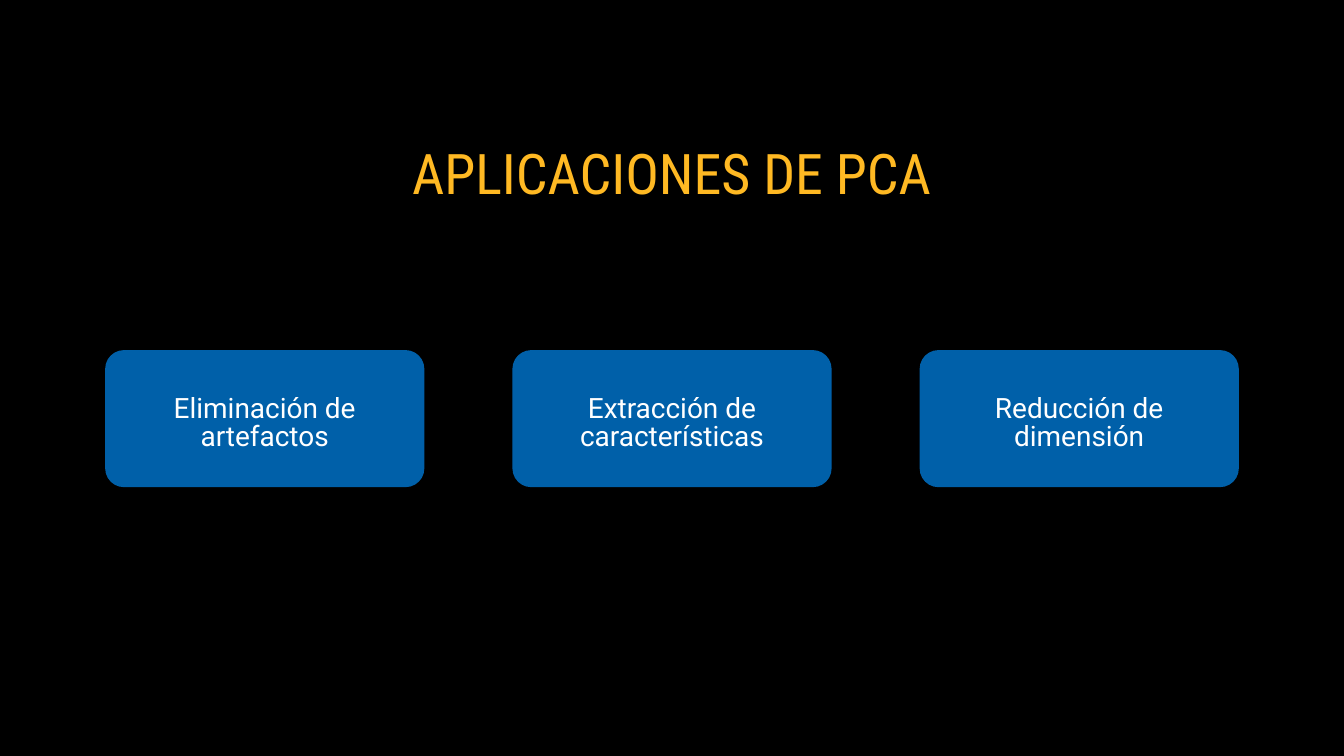
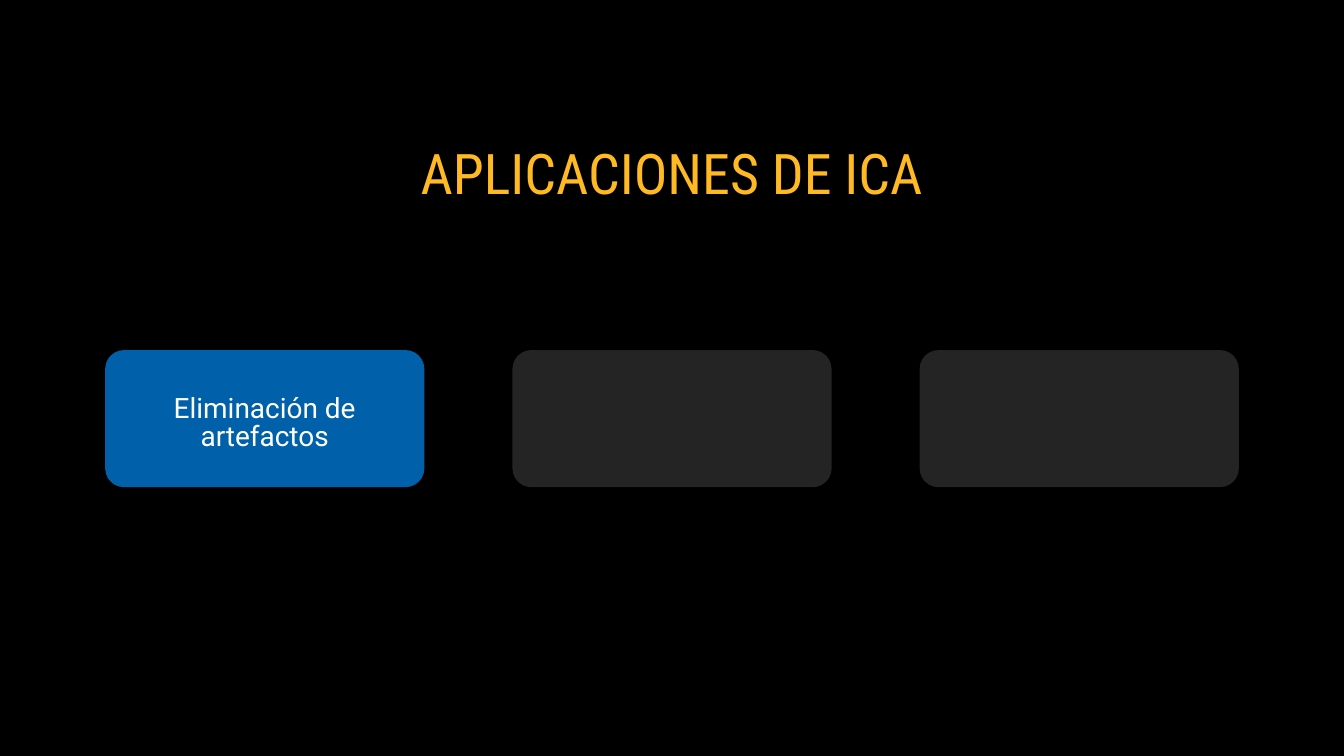
from dataclasses import dataclass

from pptx import Presentation
from pptx.dml.color import RGBColor
from pptx.enum.shapes import MSO_SHAPE as Preset
from pptx.enum.text import MSO_ANCHOR as Anchor, MSO_AUTO_SIZE as AutoSize, PP_ALIGN as Align
from pptx.util import Inches, Pt

WIDTH, HEIGHT = Inches(20), Inches(11.25)
COLUMN, ROW = WIDTH / 20, HEIGHT / 11.25
TITLE_ONLY = 5

BLACK, GOLD, WHITE = "000000", "FFB923", "FFFFFF"
BLUE, GRAY = "0060A9", "242424"

CARD_WIDTH, CARD_HEIGHT, CARD_TOP = 4.75, 2.04, 5.21
CARD_PITCH = 6.06
CORNER = 0.28


@dataclass(frozen=True)
class TextStyle:
    font: str
    size: float
    spacing: float
    color: str
    anchor: Anchor
    top_inset: float = 0


@dataclass(frozen=True)
class Card:
    lines: tuple[str, ...] = ()
    color: str = BLUE


@dataclass(frozen=True)
class Topic:
    title: str
    cards: tuple[Card, ...]


HEADING = TextStyle("Roboto Condensed", 60, 84, GOLD, Anchor.TOP)
LABEL = TextStyle("Roboto", 30, 30, WHITE, Anchor.MIDDLE, 0.17)

ARTIFACTS = Card(("Eliminación de", "artefactos"))
DIMMED = Card(color=GRAY)
TOPICS = (
    Topic("APLICACIONES DE PCA", (
        ARTIFACTS,
        Card(("Extracción de características",)),
        Card(("Reducción de", "dimensión")),
    )),
    Topic("APLICACIONES DE ICA", (ARTIFACTS, DIMMED, DIMMED)),
)


def paint(fill, color: str) -> None:
    fill.solid()
    fill.fore_color.rgb = RGBColor.from_string(color)


def apply(target, values: dict) -> None:
    for name, value in values.items():
        setattr(target, name, value)


def place(columns: float, rows: float, width: float, height: float) -> dict:
    return {
        "left": round(columns * COLUMN),
        "top": round(rows * ROW),
        "width": round(width * COLUMN),
        "height": round(height * ROW),
    }


def write(frame, lines: tuple[str, ...], style: TextStyle) -> None:
    apply(frame, {
        "text": "\n".join(lines),
        "word_wrap": True,
        "auto_size": AutoSize.NONE,
        "vertical_anchor": style.anchor,
        "margin_left": 0,
        "margin_right": 0,
        "margin_top": round(style.top_inset * ROW),
        "margin_bottom": 0,
    })
    for paragraph in frame.paragraphs:
        apply(paragraph, {"alignment": Align.CENTER, "line_spacing": Pt(style.spacing)})
        apply(paragraph.font, {"name": style.font, "size": Pt(style.size)})
        paint(paragraph.font.fill, style.color)


def draw_card(slide, card: Card, left: float) -> None:
    box = place(left, CARD_TOP, CARD_WIDTH, CARD_HEIGHT)
    panel = slide.shapes.add_shape(Preset.ROUNDED_RECTANGLE, **box)
    panel.adjustments[0] = CORNER / CARD_HEIGHT
    panel.shadow.inherit = False
    paint(panel.fill, card.color)
    panel.line.fill.background()
    if card.lines:
        write(panel.text_frame, card.lines, LABEL)


def draw_topic(deck, topic: Topic) -> None:
    slide = deck.slides.add_slide(deck.slide_layouts[TITLE_ONLY])
    title = slide.shapes.title
    apply(title, place(4.99, 1.89, 10.01, 1.32))
    write(title.text_frame, (topic.title,), HEADING)
    row_width = CARD_PITCH * (len(topic.cards) - 1) + CARD_WIDTH
    first_left = (20 - row_width) / 2
    for index, card in enumerate(topic.cards):
        draw_card(slide, card, first_left + index * CARD_PITCH)


def main() -> None:
    deck = Presentation()
    apply(deck, {"slide_width": WIDTH, "slide_height": HEIGHT})
    paint(deck.slide_master.background.fill, BLACK)
    for topic in TOPICS:
        draw_topic(deck, topic)
    deck.save("out.pptx")


if __name__ == "__main__":
    main()
